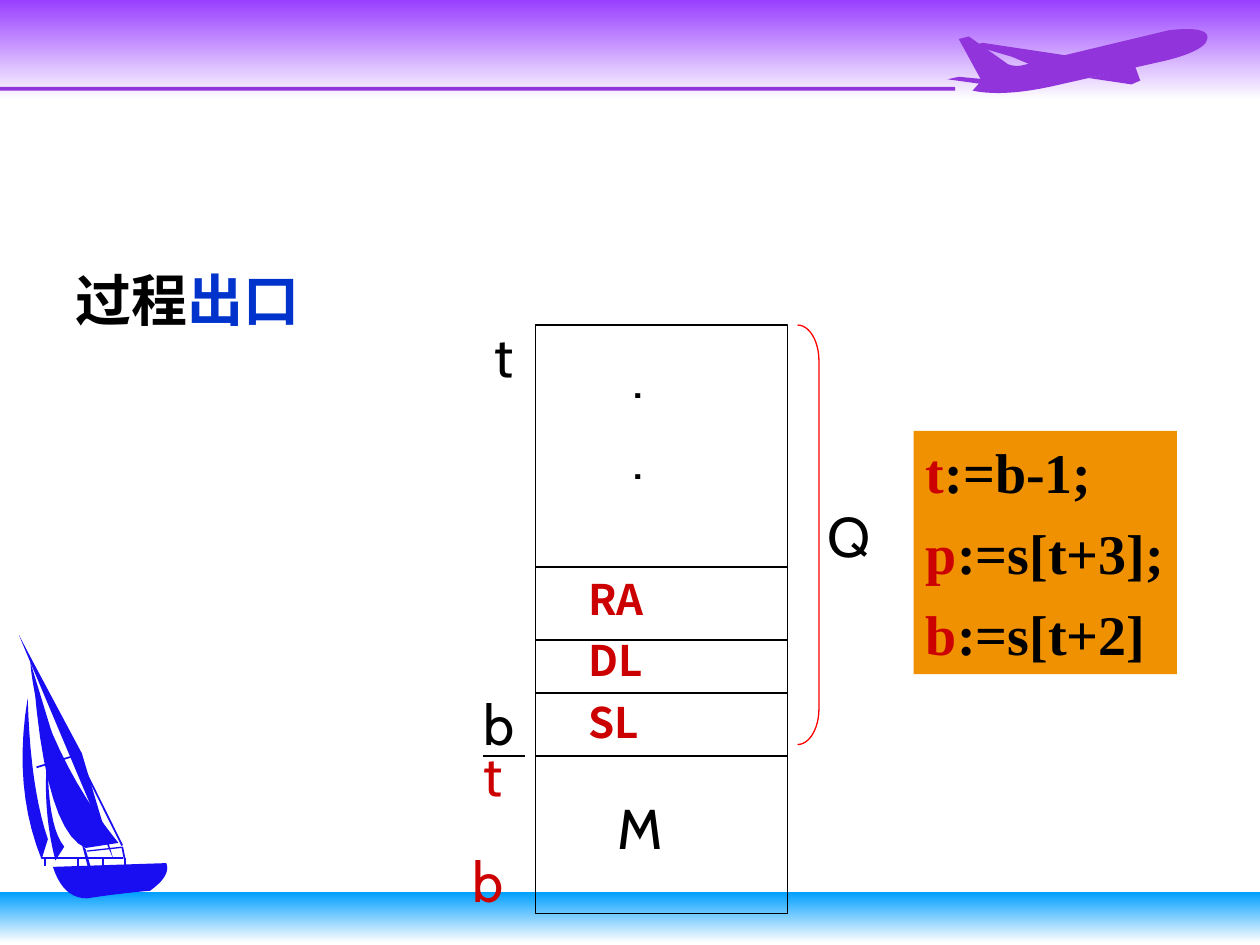
from typing import NamedTuple, Optional

from lxml.etree import SubElement
from pptx import Presentation
from pptx.dml.color import RGBColor
from pptx.enum.shapes import MSO_CONNECTOR as CONNECTOR, MSO_SHAPE as SHAPE
from pptx.enum.text import MSO_ANCHOR as ANCHOR, PP_ALIGN as ALIGN
from pptx.oxml.ns import qn
from pptx.util import Inches, Length, Pt

BLACK, RED, BLUE, BOAT, PLANE = "000000", "CC0000", "0033CC", "190EF2", "9234DB"
CABIN, NOTO, TIMES = "Cabin", "Noto Sans CJK SC", "Times New Roman"


class Area(NamedTuple):
    left: float
    top: float
    width: float
    height: float


class Label(NamedTuple):
    text: str
    left: float
    top: float
    width: float
    color: str = BLACK


class Style(NamedTuple):
    font: str
    size: int
    bold: bool = False
    gap: int = 8
    spacing: Optional[Length] = None


class Line(NamedTuple):
    x1: float
    y1: float
    x2: float
    y2: float


def rgb(color: str) -> RGBColor:
    return RGBColor.from_string(color)


def add_box(kind, area: Area, fill: Optional[str] = None, line: Optional[str] = None):
    box = slide.shapes.add_shape(kind, *map(Inches, area))
    box.shadow.inherit = False
    if fill:
        box.fill.solid()
        box.fill.fore_color.rgb = rgb(fill)
    else:
        box.fill.background()
    if line:
        box.line.color.rgb = rgb(line)
        box.line.width = Pt(0.75)
    else:
        box.line.fill.background()
    return box


def add_band(top: float, height: float, color: str) -> None:
    """Full-width band that fades downwards to white."""
    band = add_box(SHAPE.RECTANGLE, Area(0, top, 10, height))
    band.fill.gradient()
    band.fill.gradient_angle = 270
    for position, (stop, shade) in enumerate(zip(band.fill.gradient_stops, (color, "FEFEFE"))):
        stop.color.rgb = rgb(shade)
        stop.position = position


def bow(start: tuple, bend: tuple, end: tuple, steps: int = 10) -> list:
    """Points along a curved edge that is pulled towards bend."""
    def at(t: float, axis: int) -> float:
        return (1 - t) ** 2 * start[axis] + 2 * t * (1 - t) * bend[axis] + t ** 2 * end[axis]

    return [(at(i / steps, 0), at(i / steps, 1)) for i in range(steps + 1)]


def add_outline(points: list, color: str) -> None:
    """Closed area through points given in inches."""
    (start, *others) = [(Inches(x), Inches(y)) for x, y in points]
    builder = slide.shapes.build_freeform(*start)
    builder.add_line_segments(others, close=True)
    outline = builder.convert_to_shape()
    outline.shadow.inherit = False
    outline.fill.solid()
    outline.fill.fore_color.rgb = rgb(color)
    outline.line.fill.background()


def add_line(line: Line, color: str = BLACK, width: float = 0.75) -> None:
    connector = slide.shapes.add_connector(CONNECTOR.STRAIGHT, *map(Inches, line))
    connector.line.color.rgb = rgb(color)
    connector.line.width = Pt(width)
    SubElement(connector._element.spPr, qn("a:effectLst"))


def draw_plane() -> None:
    nose = bow((9.28, 0.24), (9.65, 0.2), (9.57, 0.34)) + bow((9.57, 0.34), (9.5, 0.43), (9.17, 0.5))
    belly = bow((8.33, 0.69), (7.95, 0.77), (7.72, 0.72))
    tail_fin = [(7.79, 0.64), (7.61, 0.31), (7.69, 0.29)]
    fin_root = bow((8, 0.51), (8.05, 0.53), (8.11, 0.52))
    near_wing = [(8.64, 0.62), (8.98, 0.67), (9.05, 0.64), (9.01, 0.53)]
    far_wing = [(8.6, 0.46), (7.8, 0.34), (7.72, 0.36), (8.03, 0.45), (8.22, 0.53)]
    tailplane = [(7.93, 0.64), (7.81, 0.67), (7.52, 0.63), (7.61, 0.61)]
    for part in (nose + belly + tail_fin + fin_root, near_wing, far_wing, tailplane):
        add_outline(part, PLANE)


def draw_boat() -> None:
    bow_end = bow((1.32, 6.85), (1.36, 6.95), (1.19, 7.07))
    keel = bow((1.19, 7.07), (0.95, 7.09), (0.69, 7.13))
    stern = bow((0.69, 7.13), (0.5, 7.13), (0.42, 6.88))
    mast = [(0.15, 5.04), (0.25, 5.23), (0.65, 5.98), (0.9, 6.82)]
    boom = [(0.69, 6.75), (0.96, 6.72), (0.97, 6.73), (0.69, 6.76)]
    post = [(0.65, 6.7), (0.68, 6.74), (0.72, 6.88), (0.7, 6.89)]
    # Each sail has two curved edges
    topsail = bow((0.24, 5.25), (0.28, 5.7), (0.48, 6.04))
    mainsail = (bow((0.27, 5.42), (0.37, 6.6), (0.68, 6.73))
                + bow((0.94, 6.69), (0.48, 6.12), (0.27, 5.42)))
    staysail = (bow((0.38, 5.95), (0.37, 6.55), (0.51, 6.72))
                + bow((0.44, 6.83), (0.33, 6.4), (0.38, 5.95)))
    jib = (bow((0.22, 5.54), (0.1, 6.25), (0.33, 6.82))
           + bow((0.38, 6.66), (0.24, 6.25), (0.22, 5.54)))
    for part in (bow_end + keel + stern, mast, boom, post, topsail, mainsail, staysail, jib):
        add_outline(part, BOAT)
    # Rigging: forestay, shroud, spreader, rail and its posts
    ropes = [Line(0.25, 5.26, 0.97, 6.71), Line(0.97, 6.72, 0.99, 6.82),
             Line(0.29, 6.09, 0.65, 5.98), Line(0.33, 6.81, 0.98, 6.81)]
    ropes += [Line(x, 6.81, x, 6.87) for x in (0.36, 0.62, 0.82, 0.99)]
    for rope in ropes:
        add_line(rope, BOAT, 1)


def write(frame, paragraphs: list, style: Style, wrap: bool = True, indent: float = 0) -> None:
    """Each paragraph is a list of (text, colour) runs."""
    frame.word_wrap = wrap
    frame.vertical_anchor = ANCHOR.TOP
    for i, runs in enumerate(paragraphs):
        paragraph = frame.paragraphs[0] if i == 0 else frame.add_paragraph()
        properties = paragraph._p.get_or_add_pPr()
        properties.set("marL", str(Inches(indent)))
        properties.set("indent", "0")
        SubElement(properties, qn("a:buNone"))
        paragraph.alignment = ALIGN.LEFT
        paragraph.space_before = Pt(style.gap if i else 0)
        if style.spacing:
            paragraph.line_spacing = style.spacing
        font = paragraph.font
        font.name, font.size, font.bold = style.font, Pt(style.size), style.bold
        if len(runs) == 1:
            font.color.rgb = rgb(runs[0][1])
        for text, color in runs:
            run = paragraph.add_run()
            run.text = text
            if len(runs) > 1:
                run.font.color.rgb = rgb(color)
            if style.font == NOTO:
                SubElement(run._r.get_or_add_rPr(), qn("a:ea"), typeface=NOTO)


def add_text(area: Area, paragraphs: list, style: Style, wrap=True, indent=0.0) -> None:
    box = slide.shapes.add_textbox(*map(Inches, area))
    write(box.text_frame, paragraphs, style, wrap, indent)


presentation = Presentation()
presentation.slide_width, presentation.slide_height = Inches(10), Inches(7.5)
slide = presentation.slides.add_slide(presentation.slide_layouts[1])

# Heading in the body placeholder
unused_title = slide.shapes.title._element
unused_title.getparent().remove(unused_title)
heading = slide.placeholders[1]
heading.left, heading.top, heading.width, heading.height = map(Inches, (0.5, 2.06, 8.94, 5.44))
write(heading.text_frame, [[("过程", BLACK), ("出口", BLUE)]],
      Style(NOTO, 32, True, spacing=Pt(38)))

# Sky with plane, sea with boat
add_band(0, 0.79, "993FFF")
add_box(SHAPE.RECTANGLE, Area(0, 0.69, 7.58, 0.03), PLANE)
draw_plane()
add_band(7.08, 0.4, "009FFF")
draw_boat()

# Stack frames of Q (upper) and M (lower)
STACK_LEFT, STACK_WIDTH = 4.25, 2
Q_TOP, M_TOP, M_BOTTOM = 2.58, 6, 7.25
for top, bottom in ((Q_TOP, M_TOP), (M_TOP, M_BOTTOM)):
    add_box(SHAPE.RECTANGLE, Area(STACK_LEFT, top, STACK_WIDTH, bottom - top), line=BLACK)
for y in (4.5, 5.08, 5.5):
    add_line(Line(STACK_LEFT, y, STACK_LEFT + STACK_WIDTH, y))
add_line(Line(3.83, M_TOP, 4.17, M_TOP))
add_text(Area(4.42, 4.5, 1.75, 1.47), [[(cell, RED)] for cell in ("RA", "DL", "SL")],
         Style(NOTO, 24, True, 6, Pt(29)), indent=0.15)

# Pointers and frame names
label_style = Style(CABIN, 32)
add_text(Area(4.92, 2.67, 0.5, 1.28), [[(".", BLACK)]] * 2, label_style)
for label in (
    Label("t", 3.83, 2.5, 0.36),
    Label("b", 3.74, 5.42, 0.47),
    Label("t", 3.74, 5.83, 0.36, RED),
    Label("b", 3.65, 6.67, 0.47, RED),
    Label("M", 4.8, 6.25, 0.6),
    Label("Q", 6.47, 3.93, 0.55),
):
    add_text(Area(label.left, label.top, label.width, 0.64), [[(label.text, label.color)]],
             label_style, wrap=False)
bracket = add_box(SHAPE.RIGHT_BRACKET, Area(6.33, Q_TOP, 0.17, 3.33), line="FF0000")
bracket.adjustments[0] = 1.67

# Exit code
exit_code = add_box(SHAPE.RECTANGLE, Area(7.25, 3.42, 2.09, 1.93), "EF9100")
assignments = (("t", ":=b-1;"), ("p", ":=s[t+3];"), ("b", ":=s[t+2]"))
write(exit_code.text_frame, [[(target, RED), (value, BLACK)] for target, value in assignments],
      Style(TIMES, 32, True), wrap=False)

presentation.save("out.pptx")
